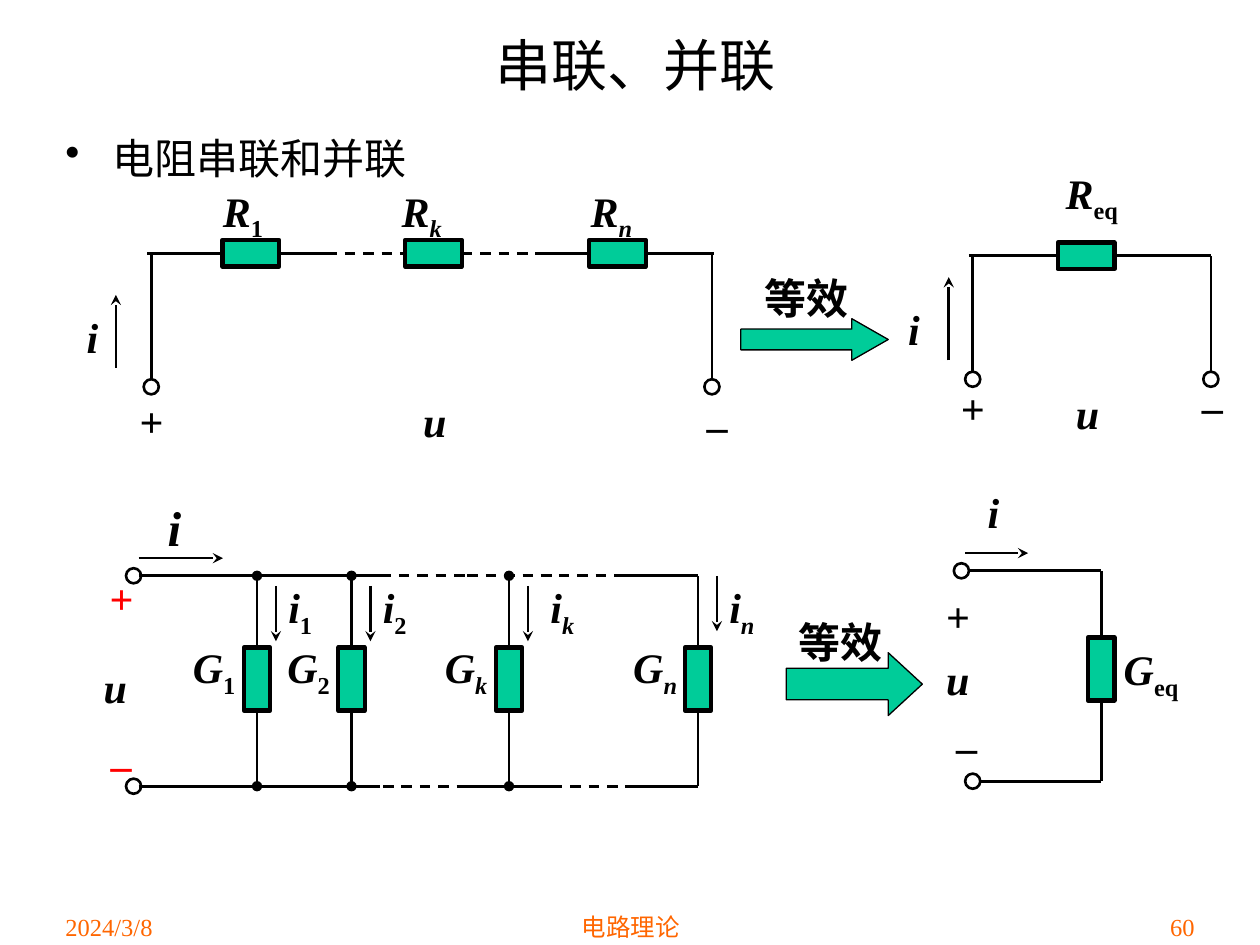
from lxml.etree import SubElement
from pptx import Presentation
from pptx.dml.color import RGBColor
from pptx.enum.dml import MSO_LINE
from pptx.enum.shapes import MSO_CONNECTOR, MSO_SHAPE
from pptx.enum.text import MSO_ANCHOR, PP_ALIGN
from pptx.oxml.ns import qn
from pptx.util import Cm, Pt

THEME = {
    "font": "Times New Roman",
    "black": RGBColor(0x00, 0x00, 0x00),
    "red": RGBColor(0xFF, 0x00, 0x00),
    "orange": RGBColor(0xFF, 0x66, 0x00),
    "green": RGBColor(0x00, 0xCC, 0x99),
    "title": 32, "body": 24, "current": 28, "footer": 14,
    "wire": 1.5, "outline": 2.5, "arrow": 0.75,
}
CM_PER_UNIT = 2.54

LEFT, CENTER, RIGHT = PP_ALIGN.LEFT, PP_ALIGN.CENTER, PP_ALIGN.RIGHT
FOOTERS = [
    ("2024/3/8", 0.42, 2.08, LEFT),
    ("电路理论", 3.42, 3.17, CENTER),
    ("60", 7.5, 2.08, RIGHT),
]

SERIES_Y, EQUIVALENT_Y = 2.01, 2.03
TOP_Y, BOTTOM_Y = 4.57, 6.24
HORIZONTAL, VERTICAL = (0.45, 0.21), (0.21, 0.5)
SERIES_RESISTORS = [(1.99, "1", 1.67), (3.44, "k", 3.09), (4.9, "n", 4.59)]
BRANCHES = [
    (2.04, "1", 2.19, 4.65, "oval"),
    (2.79, "2", 2.94, 4.65, "oval"),
    (4.04, "k", 4.27, 4.65, "oval"),
    (5.54, "n", 5.69, 4.57, None),
]

HORIZONTAL_WIRES = [
    (SERIES_Y, 1.17, 1.76, False), (SERIES_Y, 2.21, 2.62, False),
    (SERIES_Y, 2.59, 3.21, True), (SERIES_Y, 3.66, 4.26, True),
    (SERIES_Y, 4.26, 4.67, False), (SERIES_Y, 5.12, 5.67, False),
    (EQUIVALENT_Y, 7.69, 8.39, False), (EQUIVALENT_Y, 8.84, 9.61, False),
    (TOP_Y, 1.1, 3.02, False), (TOP_Y, 3.02, 3.69, True),
    (TOP_Y, 3.71, 4.38, True), (TOP_Y, 4.29, 4.96, True),
    (TOP_Y, 4.96, 5.54, False),
    (BOTTOM_Y, 1.1, 3.02, False), (BOTTOM_Y, 3.04, 3.71, True),
    (BOTTOM_Y, 3.71, 4.38, False), (BOTTOM_Y, 4.38, 5.04, True),
    (BOTTOM_Y, 4.96, 5.54, False),
    (4.53, 7.7, 8.74, False), (6.2, 7.77, 8.74, False),
]
VERTICAL_WIRES = [
    (1.2, SERIES_Y, 3.01), (5.65, SERIES_Y, 3.01),
    (7.72, EQUIVALENT_Y, 2.95), (9.61, EQUIVALENT_Y, 2.95),
    (8.74, 4.53, 6.2),
]
CURRENT_ARROWS = [
    (0.92, 2.92, 0.92, 2.34), (7.53, 2.86, 7.53, 2.2),
    (7.66, 4.39, 8.16, 4.39), (1.1, 4.43, 1.77, 4.43),
]
TERMINALS = [
    (1.2, 3.07), (5.65, 3.07), (7.72, 3.01), (9.61, 3.01),
    (7.63, 4.53), (7.72, 6.2), (1.06, TOP_Y), (1.06, BOTTOM_Y),
]
EQUIVALENCE_ARROWS = [
    (5.88, 2.53, 1.17, 0.33, 0.875),
    (6.24, 5.18, 1.08, 0.5, 0.542),
]

SYMBOLS = [
    ("等效", "", 5.97, 2.11, 1), ("等效", "", 6.24, 4.84, 0.92),
    ("i", "", 0.59, 2.42, 0.33), ("u", "", 3.26, 3.09, 0.56),
    ("+", "", 1.01, 3.09, 0.33), ("_", "", 5.51, 3.01, 0.33),
    ("R", "eq", 8.36, 1.28, 1.17), ("i", "", 7.11, 2.36, 0.33),
    ("u", "", 8.44, 3.03, 0.42), ("_", "", 9.44, 2.86, 0.33),
    ("G", "eq", 8.82, 5.06, 0.75), ("i", "", 7.74, 3.81, 0.33),
    ("+", "", 7.41, 4.64, 0.42), ("u", "", 7.41, 5.14, 0.42),
    ("_", "", 7.49, 5.56, 0.33),
]


def lengths(*values):
    return [Cm(value * CM_PER_UNIT) for value in values]


def apply_format(target, values):
    for name, value in values.items():
        setattr(target, name, value)


def add_run(paragraph, text, size, color, bold=False, italic=False, lowered=False):
    run = paragraph.add_run()
    run.text = text
    apply_format(run.font, {"name": THEME["font"], "size": Pt(size), "bold": bold, "italic": italic})
    run.font.color.rgb = color
    if lowered:
        run.font._element.set("baseline", "-25000")


def add_text_box(slide, box, align=LEFT, anchor=MSO_ANCHOR.TOP, wrap=True):
    shape = slide.shapes.add_textbox(*lengths(*box))
    apply_format(shape.text_frame, {"word_wrap": wrap, "vertical_anchor": anchor})
    paragraph = shape.text_frame.paragraphs[0]
    paragraph.alignment = align
    return shape, paragraph


def add_symbol(slide, base, subscript, left, top, width, height=0.5,
               size=THEME["body"], color=THEME["black"], centered=False):
    layout = (CENTER, MSO_ANCHOR.MIDDLE, False) if centered else ()
    shape, paragraph = add_text_box(slide, (left, top, width, height), *layout)
    add_run(paragraph, base, size, color, True, base in "RGiu")
    if subscript:
        add_run(paragraph, subscript, size, color, True, subscript in "kn", True)
    return shape


def add_outline(slide, kind, box, weight, fill=None):
    shape = slide.shapes.add_shape(kind, *lengths(*box))
    shape.shadow.inherit = False
    if fill is None:
        shape.fill.background()
    else:
        shape.fill.solid()
        shape.fill.fore_color.rgb = fill
    shape.line.color.rgb = THEME["black"]
    shape.line.width = Pt(weight)
    return shape


def add_resistor(slide, center_x, center_y, size):
    width, height = size
    box = (center_x - width / 2, center_y - height / 2, width, height)
    return add_outline(slide, MSO_SHAPE.RECTANGLE, box, THEME["outline"], THEME["green"])


def add_wire(slide, ends, dashed=False, head=None, tail=None, resistors=()):
    connector = slide.shapes.add_connector(MSO_CONNECTOR.STRAIGHT, *lengths(*ends))
    connector.line.color.rgb = THEME["black"]
    connector.line.width = Pt(THEME["wire"])
    if dashed:
        connector.line.dash_style = MSO_LINE.DASH
    line = connector.line._get_or_add_ln()
    for tag, kind in (("a:headEnd", head), ("a:tailEnd", tail)):
        if kind:
            SubElement(line, qn(tag)).set("type", kind)
    SubElement(connector._element.spPr, qn("a:effectLst"))
    tolerance = Cm(0.05)
    for resistor in resistors:
        middle = resistor.top + resistor.height / 2
        for site, side in ((1, resistor.left), (3, resistor.left + resistor.width)):
            if abs(connector.begin_y - middle) > tolerance:
                continue
            if abs(connector.begin_x - side) < tolerance:
                connector.begin_connect(resistor, site)
            elif abs(connector.end_x - side) < tolerance:
                connector.end_connect(resistor, site)


def add_headings(slide):
    _, title = add_text_box(slide, (0.42, 0.26, 9.25, 0.5), CENTER, MSO_ANCHOR.MIDDLE)
    add_run(title, "串联、并联", THEME["title"], THEME["black"])
    _, bullet = add_text_box(slide, (0.42, 1, 9.25, 0.5))
    properties = bullet._p.get_or_add_pPr()
    indent = Cm(0.95)
    properties.set("marL", str(indent))
    properties.set("indent", str(-indent))
    SubElement(properties, qn("a:buChar")).set("char", "•")
    add_run(bullet, "电阻串联和并联", THEME["body"], THEME["black"])
    for text, left, width, align in FOOTERS:
        _, footer = add_text_box(slide, (left, 7.19, width, 0.5), align)
        add_run(footer, text, THEME["footer"], THEME["orange"])


def add_circuits(slide):
    resistors = [add_resistor(slide, x, SERIES_Y, HORIZONTAL) for x, _, _ in SERIES_RESISTORS]
    resistors.append(add_resistor(slide, 8.62, EQUIVALENT_Y, HORIZONTAL))
    for y, start, end, dashed in HORIZONTAL_WIRES:
        add_wire(slide, (start, y, end, y), dashed, resistors=resistors)
    for x, start, end in VERTICAL_WIRES:
        add_wire(slide, (x, start, x, end))
    for ends in CURRENT_ARROWS:
        add_wire(slide, ends, tail="stealth")
    for _, subscript, left in SERIES_RESISTORS:
        add_symbol(slide, "R", subscript, left, 1.42, 0.67)
    for x, subscript, label_left, arrow_top, dot in BRANCHES:
        add_wire(slide, (x, BOTTOM_Y, x, TOP_Y), head=dot, tail=dot)
        add_resistor(slide, x, 5.39, VERTICAL)
        add_wire(slide, (x + 0.15, arrow_top, x + 0.15, arrow_top + 0.44), tail="stealth")
        add_symbol(slide, "G", subscript, x - 0.62, 5.07, 0.56, centered=True)
        add_symbol(slide, "i", subscript, label_left, TOP_Y, 0.56)
    add_resistor(slide, 8.74, 5.31, VERTICAL)
    for x, y in TERMINALS:
        add_outline(slide, MSO_SHAPE.OVAL, (x - 0.06, y - 0.06, 0.12, 0.12), THEME["wire"])


def add_annotations(slide):
    for *box, head_length in EQUIVALENCE_ARROWS:
        arrow = add_outline(slide, MSO_SHAPE.RIGHT_ARROW, box, THEME["arrow"], THEME["green"])
        arrow.adjustments[1] = head_length
    for symbol in SYMBOLS:
        add_symbol(slide, *symbol)
    add_symbol(slide, "+", "", 7.49, 2.99, 0.42).rotation = 270
    add_symbol(slide, "i", "", 1.23, 3.9, 0.31, 0.57, THEME["current"], centered=True)
    add_symbol(slide, "u", "", 0.72, 5.2, 0.39, centered=True)
    add_symbol(slide, "+", "", 0.77, 4.49, 0.39, color=THEME["red"], centered=True)
    add_symbol(slide, "_", "", 0.78, 5.7, 0.39, color=THEME["red"])


def main():
    presentation = Presentation()
    presentation.slide_width, presentation.slide_height = lengths(10, 7.5)
    slide = presentation.slides.add_slide(presentation.slide_layouts[6])
    add_headings(slide)
    add_circuits(slide)
    add_annotations(slide)
    presentation.save("out.pptx")


if __name__ == "__main__":
    main()
